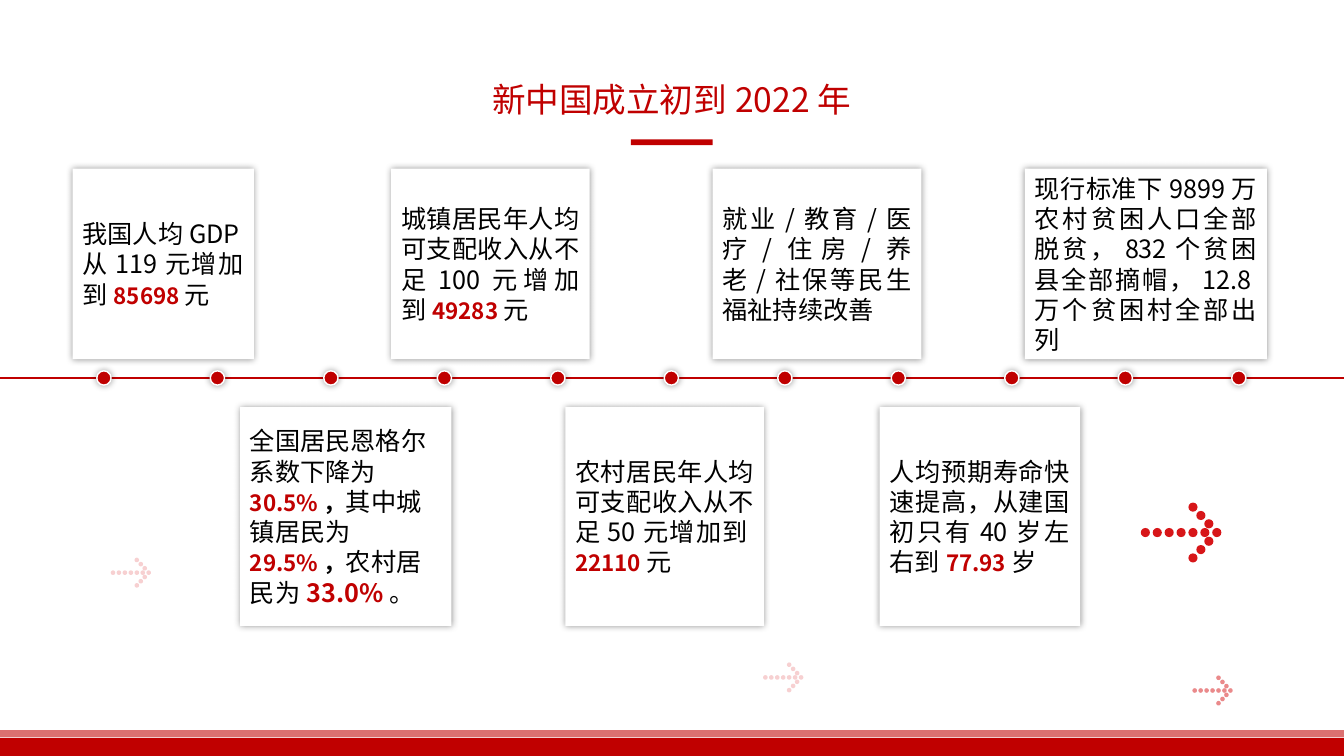
from lxml.etree import SubElement
from pptx import Presentation
from pptx.dml.color import RGBColor
from pptx.enum.shapes import MSO_CONNECTOR, MSO_SHAPE
from pptx.enum.text import MSO_ANCHOR, PP_ALIGN
from pptx.oxml.ns import qn
from pptx.util import Cm, Pt

FONT = "Noto Sans CJK SC"
WIDE, HIGH = 33.87, 19.05
COLORS = {"red": "C00000", "arrow": "D71619", "white": "FFFFFF", "black": "000000"}

# Run formats used inside the cards
KEY = {"size": 16, "color": "red", "bold": True}
BIG = {"size": 18, "color": "red", "bold": True}
MARK = {"size": 16, "bold": True}

# Cards: left, width, runs (a plain string takes the default format)
TOP = [
    (1.83, 4.57, ["我国人均GDP从119元增加到", ("85698", KEY), "元"]),
    (9.86, 5, ["城镇居民年人均可支配收入从不足100元增加到", ("49283", KEY), "元"]),
    (17.96, 5.26, ["就业/教育/医疗/住房/养老/社保等民生福祉持续改善"]),
    (25.83, 6.1, ["现行标准下9899万农村贫困人口全部脱贫，832个贫困县全部摘帽，12.8万个贫困村全部出列"]),
]
LOW = [
    (6.05, 5.33, ["全国居民恩格尔系数下降为", ("30.5%", KEY), ("，", MARK),
                  "其中城镇居民为", ("29.5%", KEY), ("，", MARK),
                  "农村居民为", ("33.0%", BIG), "。"]),
    (14.25, 5, ["农村居民年人均可支配收入从不足50元增加到", ("22110", KEY), "元"]),
    (22.17, 5.05, ["人均预期寿命快速提高，从建国初只有40岁左右到", ("77.93", KEY), "岁"]),
]


def tint(name):
    return RGBColor.from_string(COLORS[name])


def write(par, text, size=18, color="black", bold=False):
    run = par.add_run()
    run.text = text
    font = run.font
    font.size, font.bold, font.name = Pt(size), bold, FONT
    font.color.rgb = tint(color)
    SubElement(run._r.rPr, qn("a:ea")).set("typeface", FONT)


def glow(shape):
    effects = shape._element.spPr.find(qn("a:effectLst"))
    outer = SubElement(effects, qn("a:outerShdw"), blurRad=str(Pt(5)), dist="0",
                       dir="0", algn="ctr", rotWithShape="0")
    color = SubElement(outer, qn("a:srgbClr"), val=COLORS["black"])
    SubElement(color, qn("a:alpha"), val="40000")


def draw(shapes, kind, x, y, w, h, fill="red", alpha=100, edge=None, shade=False):
    shape = shapes.add_shape(kind, Cm(x), Cm(y), Cm(w), Cm(h))
    shape.shadow.inherit = False
    shape.fill.solid()
    shape.fill.fore_color.rgb = tint(fill)
    if alpha < 100:
        color = shape._element.spPr.find(qn("a:solidFill"))[0]
        SubElement(color, qn("a:alpha"), val=str(alpha * 1000))
    if edge:
        shape.line.color.rgb = tint(edge)
        shape.line.width = Pt(1)
    else:
        shape.line.fill.background()
    if shade:
        glow(shape)
    return shape


def footer(shapes, y):
    draw(shapes, MSO_SHAPE.RECTANGLE, 0, y, WIDE, 0.18, alpha=56)
    draw(shapes, MSO_SHAPE.RECTANGLE, 0, y + 0.2, WIDE, HIGH - y - 0.2)


def axis(shapes, y, left, pitch, count, dot=0.36):
    line = shapes.add_connector(MSO_CONNECTOR.STRAIGHT, 0, Cm(y), Cm(WIDE), Cm(y))
    line.line.color.rgb = tint("red")
    line.line.width = Pt(1)
    SubElement(line._element.spPr, qn("a:effectLst"))
    for i in range(count):
        draw(shapes, MSO_SHAPE.OVAL, left + i * pitch, y - dot / 2, dot, dot,
             edge="white", shade=True)


def arrow(shapes, x, y, scale, alpha):
    """Dotted arrow: x is its left edge, y its middle."""
    tail = [(0.3 * i, 0) for i in range(7)]
    head = [(1.8 - 0.2 * i, side * (0.01 + 0.21 * i))
            for side in (1, -1) for i in (1, 2, 3)]
    dot = 0.23 * scale
    group = shapes.add_group_shape()
    for dx, dy in tail + head:
        draw(group.shapes, MSO_SHAPE.OVAL, x + dx * scale, y + dy * scale - dot / 2,
             dot, dot, fill="arrow", alpha=alpha)


def title(shapes, x, y, w, h, text):
    frame = shapes.add_textbox(Cm(x), Cm(y), Cm(w), Cm(h)).text_frame
    frame.word_wrap = True
    par = frame.paragraphs[0]
    par.alignment = PP_ALIGN.CENTER
    write(par, text, size=24, color="red")
    bar = 2.06
    draw(shapes, MSO_SHAPE.RECTANGLE, x + (w - bar) / 2, y + 1.65, bar, 0.15)


def card(shapes, x, y, w, h, runs, align):
    shape = draw(shapes, MSO_SHAPE.RECTANGLE, x, y, w, h, fill="white", shade=True)
    frame = shape.text_frame
    frame.word_wrap = True
    frame.vertical_anchor = MSO_ANCHOR.MIDDLE
    par = frame.paragraphs[0]
    par.alignment = align
    for run in runs:
        text, style = (run, {}) if isinstance(run, str) else run
        write(par, text, **style)


def row(shapes, y, h, cards):
    for x, w, runs in cards:
        # Text with several figures stays ragged, the rest is justified
        align = PP_ALIGN.LEFT if len(runs) > 3 else PP_ALIGN.JUSTIFY
        card(shapes, x, y, w, h, runs, align)


def main():
    deck = Presentation()
    deck.slide_width, deck.slide_height = Cm(WIDE), Cm(HIGH)
    shapes = deck.slides.add_slide(deck.slide_layouts[6]).shapes

    # Footer bands and time axis
    footer(shapes, 18.4)
    axis(shapes, HIGH / 2, 2.44, 2.86, 11)

    # Dotted arrows
    arrow(shapes, 30.05, 17.4, 0.5, 50)
    arrow(shapes, 28.75, 13.42, 1, 100)
    arrow(shapes, 19.23, 17.07, 0.5, 20)
    arrow(shapes, 2.79, 14.43, 0.5, 20)

    # Title and cards
    title(shapes, 11.93, 1.86, 10, 1.28, "新中国成立初到2022年")
    row(shapes, 4.25, 4.8, TOP)
    row(shapes, 10.26, 5.51, LOW)
    deck.save("out.pptx")


if __name__ == "__main__":
    main()
